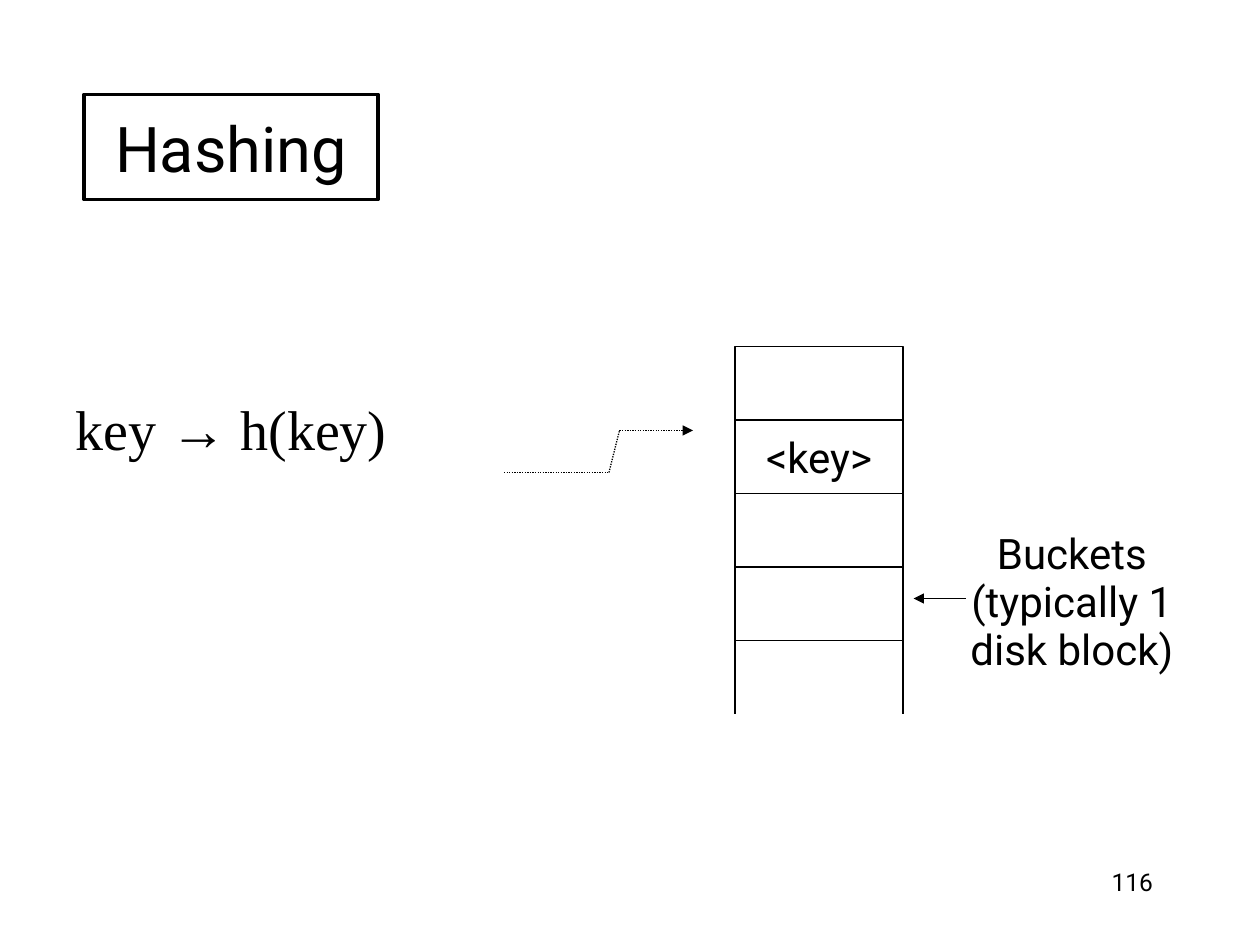
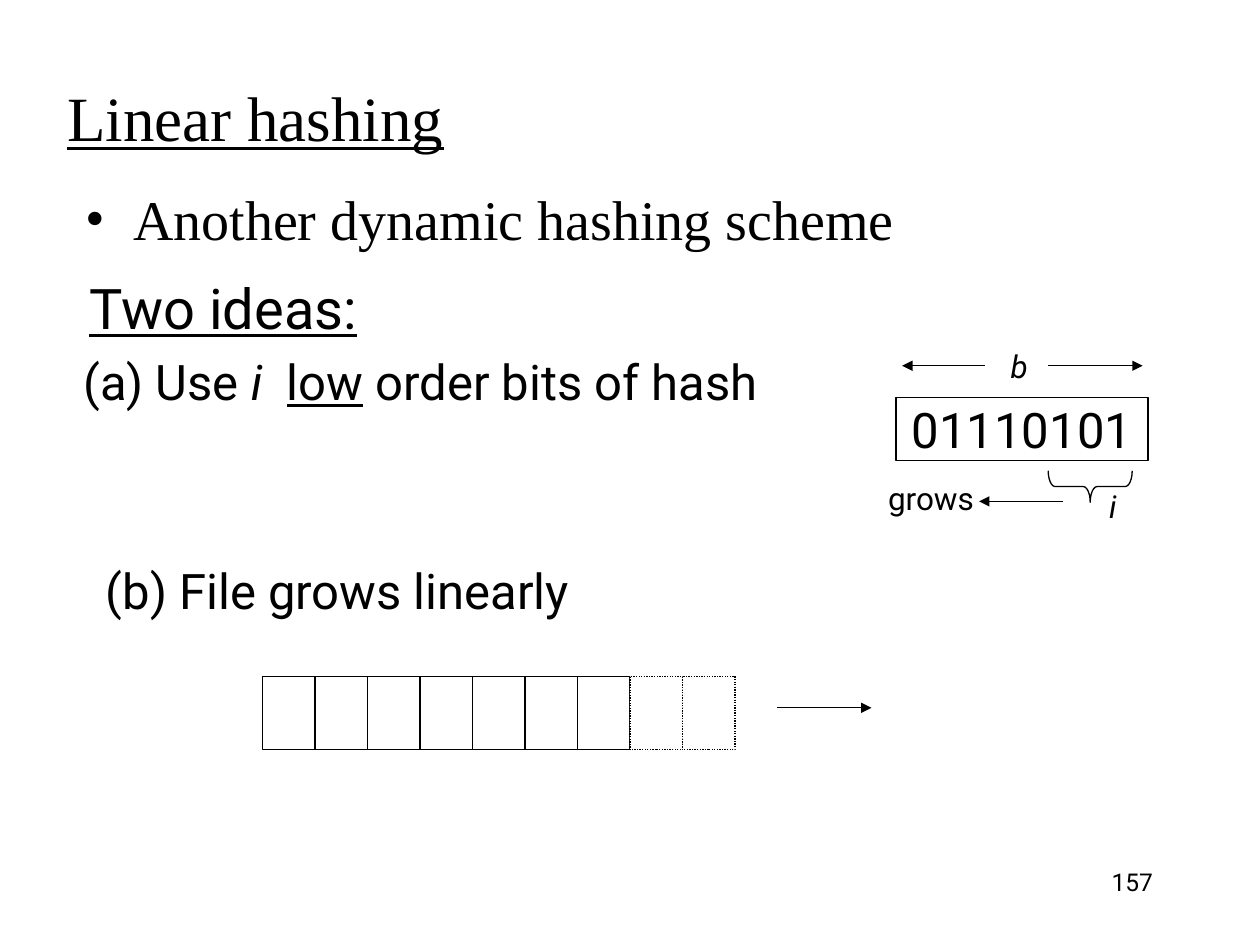
from lxml.etree import SubElement
from pptx import Presentation
from pptx.dml.color import RGBColor
from pptx.enum.dml import MSO_LINE
from pptx.enum.shapes import MSO_CONNECTOR, MSO_SHAPE
from pptx.enum.text import MSO_ANCHOR, PP_ALIGN
from pptx.oxml.ns import qn
from pptx.util import Pt

INK = "000000"
PAPER = "FFFFFF"
SANS = "Roboto"
SERIF = "Times New Roman"
ARROW_FONT = "Arial"


def colour(value):
    return RGBColor.from_string(value)


def hang(para, indent, bullet):
    properties = para._p.get_or_add_pPr()
    properties.set("marL", str(Pt(indent)))
    properties.set("indent", str(-Pt(indent)))
    SubElement(properties, qn("a:buFont")).set("typeface", SERIF)
    SubElement(properties, qn("a:buChar")).set("char", bullet)


def write(shape, text, size=24, font=SANS, align=PP_ALIGN.LEFT,
          anchor=MSO_ANCHOR.TOP, wrap=True, underline=False, italic=False,
          line_height=None, indent=0, bullet=None):
    frame = shape.text_frame
    frame.word_wrap = wrap
    frame.vertical_anchor = anchor
    base = {"font": font, "underline": underline, "italic": italic}
    lines = [text]
    if isinstance(text, str):
        lines = [[(line, {})] for line in text.split("\n")]
    for number, spans in enumerate(lines):
        para = frame.add_paragraph() if number else frame.paragraphs[0]
        para.alignment = align
        if line_height:
            para.line_spacing = Pt(line_height)
        if bullet:
            hang(para, indent, bullet)
        for words, changes in spans:
            look = base | changes
            span = para.add_run()
            span.text = words
            span.font.size = Pt(size)
            span.font.name = look["font"]
            span.font.underline = look["underline"]
            span.font.italic = look["italic"]
            span.font.color.rgb = colour(INK)
            if "tracking" in look:
                span.font._element.set("spc", str(look["tracking"] * 100))


class Sketch:
    centred = {"align": PP_ALIGN.CENTER, "anchor": MSO_ANCHOR.MIDDLE,
               "wrap": False}

    def __init__(self, deck):
        self.deck = deck
        self.page = None

    def new_page(self, number):
        self.page = self.deck.slides.add_slide(self.deck.slide_layouts[6])
        self.text(516, 492, 150, 36, str(number), size=14,
                  align=PP_ALIGN.RIGHT)

    def text(self, left, top, width, height, text, **look):
        box = self.page.shapes.add_textbox(
            Pt(left), Pt(top), Pt(width), Pt(height))
        write(box, text, **look)

    def label(self, left, top, width, height, text, **look):
        self.text(left, top, width, height, text, **self.centred, **look)

    def stroke(self, line, weight=0.75, dotted=False):
        line.color.rgb = colour(INK)
        line.width = Pt(weight)
        if dotted:
            line.dash_style = MSO_LINE.ROUND_DOT

    def shape(self, kind, left, top, width, height):
        shape = self.page.shapes.add_shape(
            kind, Pt(left), Pt(top), Pt(width), Pt(height))
        shape.shadow.inherit = False
        return shape

    def box(self, left, top, width, height, text="", weight=0.75,
            dotted=False, **look):
        box = self.shape(MSO_SHAPE.RECTANGLE, left, top, width, height)
        box.fill.solid()
        box.fill.fore_color.rgb = colour(PAPER)
        self.stroke(box.line, weight, dotted)
        if text:
            write(box, text, **self.centred, **look)

    def brace_below(self, left, top, width, height):
        middle_x, middle_y = left + width / 2, top + height / 2
        brace = self.shape(MSO_SHAPE.LEFT_BRACE, middle_x - height / 2,
                           middle_y - width / 2, height, width)
        brace.rotation = 270
        brace.adjustments[0] = 0.22
        brace.fill.background()
        self.stroke(brace.line)

    def line(self, start, end, arrow=False, dotted=False):
        line = self.page.shapes.add_connector(
            MSO_CONNECTOR.STRAIGHT, *map(Pt, start + end))
        self.stroke(line.line, dotted=dotted)
        properties = line._element.spPr
        if arrow:
            SubElement(properties.find(qn("a:ln")), qn("a:tailEnd")).set(
                "type", "triangle")
        SubElement(properties, qn("a:effectLst"))


def hashing(sketch):
    sketch.new_page(116)
    sketch.text(36, 222, 300, 45,
                [("key ", {}), ("→", {"font": ARROW_FONT}), (" h(key)", {})],
                size=32, font=SERIF)
    sketch.box(48, 54, 168, 60, "Hashing", weight=2.25, size=36)

    left, top, width, height = 420, 198, 96, 42
    buckets = ["", "<key>", "", ""]
    for row, content in enumerate(buckets):
        sketch.box(left, top + row * height, width, height, content)
    bottom = top + len(buckets) * height
    for side in (left, left + width):
        sketch.line((side, bottom), (side, bottom + height))

    sketch.line((552, 342), (522, 342), arrow=True)
    sketch.label(546, 299, 133, 90, "Buckets\n(typically 1\ndisk block)",
                 line_height=27.5)

    route = [(288, 270), (348, 270), (354, 246), (396, 246)]
    for start, end in zip(route, route[1:]):
        sketch.line(start, end, arrow=end == route[-1], dotted=True)


def linear_hashing(sketch):
    sketch.new_page(157)
    sketch.text(31.5, 35, 612, 63, "Linear hashing", size=36, font=SERIF,
                underline=True, anchor=MSO_ANCHOR.MIDDLE)
    sketch.text(42, 102, 612, 48, "Another dynamic hashing scheme", size=32,
                font=SERIF, indent=27, bullet="•")
    sketch.text(44, 150, 228, 51, "Two ideas:", size=32, underline=True,
                anchor=MSO_ANCHOR.MIDDLE)
    sketch.text(40.5, 197.5, 408, 47,
                [("(a) Use ", {}), ("i", {"italic": True}),
                 (" ", {"tracking": 7}), ("low", {"underline": True}),
                 (" order bits of hash", {})], size=28)

    sketch.box(512, 227, 144, 36, "01110101", size=28)
    sketch.line((563, 209), (515.5, 209), arrow=True)
    sketch.line((599, 209), (653, 209), arrow=True)
    sketch.line((607.5, 286.5), (559.5, 286.5), arrow=True)
    sketch.brace_below(599, 269, 48, 18)
    sketch.label(499, 270, 66, 29, "grows", size=18)
    sketch.label(570, 194.5, 25, 29, "b", size=18, italic=True)
    sketch.label(626.5, 274.5, 19, 29, "i", size=18, italic=True)

    sketch.text(53.5, 317, 360, 55, "(b) File grows linearly", size=28)
    filled, planned, width = 7, 2, 30
    for block in range(filled + planned):
        sketch.box(150 + block * width, 386.5, width, 42,
                   dotted=block >= filled)
    sketch.line((444, 404.5), (498, 404.5), arrow=True)


def main():
    deck = Presentation()
    deck.slide_width, deck.slide_height = Pt(720), Pt(540)
    sketch = Sketch(deck)
    hashing(sketch)
    linear_hashing(sketch)
    deck.save("out.pptx")


if __name__ == "__main__":
    main()
